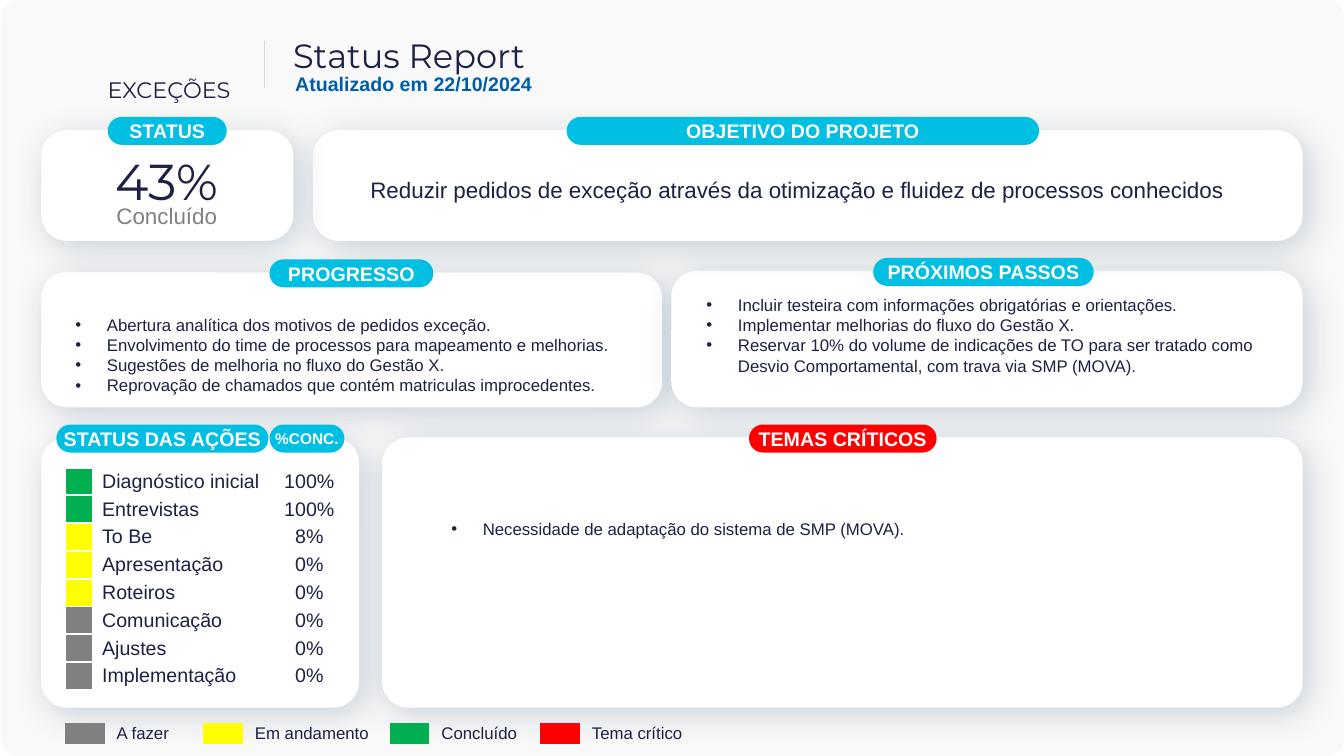
from lxml.etree import SubElement
from pptx import Presentation
from pptx.dml.color import RGBColor
from pptx.enum.shapes import MSO_CONNECTOR, MSO_SHAPE
from pptx.enum.text import MSO_ANCHOR as ANCHOR, PP_ALIGN as ALIGN
from pptx.oxml.ns import qn
from pptx.util import Pt

COLORS = {
    "page": "F9F9F9", "white": "FFFFFF", "navy": "1C2145", "blue": "005DAA",
    "cyan": "00BFE3", "red": "FF0000", "green": "00B050", "yellow": "FFFF00",
    "gray": "808080", "rule": "D9D9D9", "shadow": "002E55",
}
NO_TABLE_STYLE = "{2D5ABB26-0587-4C30-8999-92F81FD0307C}"
ZERO_MARGINS = dict.fromkeys(("margin_left", "margin_top", "margin_right", "margin_bottom"), 0)
CARD_RADIUS = 18.5


def write(frame, lines, color="navy", align=ALIGN.LEFT, bullet=False, **font_format):
    for index, line in enumerate(lines):
        paragraph = frame.add_paragraph() if index else frame.paragraphs[0]
        paragraph.alignment = align
        if bullet:
            properties = paragraph._p.get_or_add_pPr()
            properties.set("marL", str(Pt(22.5)))
            properties.set("indent", str(-Pt(22.5)))
            SubElement(properties, qn("a:buFont"), typeface="Arial")
            SubElement(properties, qn("a:buChar"), char="•")
        run = paragraph.add_run()
        run.text = line
        run.font.color.rgb = RGBColor.from_string(COLORS[color])
        for name, value in ({"name": "Arial"} | font_format).items():
            setattr(run.font, name, value)


def add_grid(left, top, widths, row_height, rows, size, indent, border=None):
    frame = slide.shapes.add_table(len(rows), len(widths), Pt(left), Pt(top),
                                   Pt(sum(widths)), Pt(row_height * len(rows)))
    table = frame.table
    table.first_row = table.horz_banding = False
    table._tbl.tblPr[0].text = NO_TABLE_STYLE
    for column, width in zip(table.columns, widths):
        column.width = Pt(width)
    for row, values in zip(table.rows, rows):
        row.height = Pt(row_height)
        for cell, (kind, value) in zip(row.cells, values):
            for name, margin in (ZERO_MARGINS | {"vertical_anchor": ANCHOR.MIDDLE}).items():
                setattr(cell, name, margin)
            if border:
                for side in ("lnL", "lnR", "lnT", "lnB"):
                    line = SubElement(cell._tc.get_or_add_tcPr(), qn(f"a:{side}"), w=str(Pt(1.5)))
                    SubElement(SubElement(line, qn("a:solidFill")), qn("a:srgbClr"), val=COLORS[border])
            if kind == "swatch":
                cell.fill.solid()
                cell.fill.fore_color.rgb = RGBColor.from_string(COLORS[value])
            else:
                cell.fill.background()
            if kind in ("label", "percent"):
                cell.margin_left = Pt(indent if kind == "label" else 0)
                align = ALIGN.CENTER if kind == "percent" else ALIGN.LEFT
                write(cell.text_frame, [value], align=align, size=Pt(size))
            else:
                end = cell.text_frame.paragraphs[0]._p.get_or_add_endParaRPr()
                end.set("sz", str(size * 100))


presentation = Presentation()
presentation.slide_width, presentation.slide_height = Pt(960), Pt(540)
slide = presentation.slides.add_slide(presentation.slide_layouts[6])

panels = [
    (0.5, 0, 960, 540, "page", 13),
    (29.5, 194.5, 443.5, 96.5, "white", CARD_RADIUS),
    (479.5, 193.5, 451, 97.5, "white", CARD_RADIUS),
    (223.5, 93, 707, 79, "white", CARD_RADIUS),
    (29.5, 93, 180, 79, "white", CARD_RADIUS),
    (29.5, 312.5, 227, 193, "white", CARD_RADIUS),
    (273, 312.5, 657.5, 193, "white", CARD_RADIUS),
]
for left, top, width, height, color, radius in panels:
    panel = slide.shapes.add_shape(MSO_SHAPE.ROUNDED_RECTANGLE,
                                   Pt(left), Pt(top), Pt(width), Pt(height))
    panel.adjustments[0] = radius / height
    panel.fill.solid()
    panel.fill.fore_color.rgb = RGBColor.from_string(COLORS[color])
    panel.line.fill.background()
    panel.shadow.inherit = False
    if color == "white":
        effects = panel._element.spPr.find(qn("a:effectLst"))
        shadow = SubElement(effects, qn("a:outerShdw"), blurRad=str(Pt(25)), dist=str(Pt(6)),
                            dir=str(48 * 60000), algn="tl", rotWithShape="0")
        tint = SubElement(shadow, qn("a:srgbClr"), val=COLORS["shadow"])
        SubElement(tint, qn("a:alpha"), val="20000")

divider = slide.shapes.add_connector(MSO_CONNECTOR.STRAIGHT, Pt(189), Pt(29), Pt(189), Pt(63))
divider.line.color.rgb = RGBColor.from_string(COLORS["rule"])
divider.line.width = Pt(0.5)
SubElement(divider._element.spPr, qn("a:effectLst"))

pills = [
    ("OBJETIVO DO PROJETO", 404.75, 83.5, 337.5, "cyan", 14),
    ("STATUS", 77, 83.5, 85, "cyan", 14),
    ("PRÓXIMOS PASSOS", 623.75, 184.25, 157.5, "cyan", 14),
    ("PROGRESSO", 192.5, 185.25, 117, "cyan", 14),
    ("STATUS DAS AÇÕES", 40.25, 303.25, 151.5, "cyan", 14),
    ("%CONC.", 192.5, 303.25, 53.5, "cyan", 11),
    ("TEMAS CRÍTICOS", 535, 303.25, 134, "red", 14),
]
for title, left, top, width, color, size in pills:
    pill = slide.shapes.add_shape(MSO_SHAPE.ROUNDED_RECTANGLE, Pt(left), Pt(top), Pt(width), Pt(20))
    pill.adjustments[0] = 0.5
    pill.fill.solid()
    pill.fill.fore_color.rgb = RGBColor.from_string(COLORS[color])
    pill.line.fill.background()
    pill.shadow.inherit = False
    frame_format = ZERO_MARGINS | {"vertical_anchor": ANCHOR.MIDDLE, "word_wrap": False}
    for name, value in frame_format.items():
        setattr(pill.text_frame, name, value)
    write(pill.text_frame, [title], "white", ALIGN.CENTER, size=Pt(size), bold=True)

actions = [
    ("green", "Diagnóstico inicial", "100%"),
    ("green", "Entrevistas", "100%"),
    ("yellow", "To Be", "8%"),
    ("yellow", "Apresentação", "0%"),
    ("yellow", "Roteiros", "0%"),
    ("gray", "Comunicação", "0%"),
    ("gray", "Ajustes", "0%"),
    ("gray", "Implementação", "0%"),
]
action_rows = [[("swatch", color), ("gap", ""), ("label", action), ("percent", done)]
               for color, action, done in actions]
add_grid(46.25, 334, [20, 6, 119, 59.5], 19.85, action_rows, 14, 0.75, border="white")

legend = [("gray", "A fazer"), ("yellow", "Em andamento"),
          ("green", "Concluído"), ("red", "Tema crítico")]
legend_row = [cell for color, label in legend for cell in (("swatch", color), ("label", label))]
add_grid(46.5, 516.75, [28.25, 70.5, 28.25, 105, 28.25, 79.25, 28.25, 76.5], 14.4,
         [legend_row], 12, 8.65)

progress = [
    "Abertura analítica dos motivos de pedidos exceção.",
    "Envolvimento do time de processos para mapeamento e melhorias.",
    "Sugestões de melhoria no fluxo do Gestão X.",
    "Reprovação de chamados que contém matriculas improcedentes.",
]
next_steps = [
    "Incluir testeira com informações obrigatórias e orientações.",
    "Implementar melhorias do fluxo do Gestão X.",
    "Reservar 10% do volume de indicações de TO para ser tratado como "
    "Desvio Comportamental, com trava via SMP (MOVA).",
]
objective = "Reduzir pedidos de exceção através da otimização e fluidez de processos conhecidos"
bullets = {"size": Pt(12), "bullet": True}
heading = {"name": "Montserrat"}
texts = [
    (203.75, 52.5, 213, 19.5, ["Atualizado em 22/10/2024"],
     {"size": Pt(14), "color": "blue", "bold": True}),
    (202.25, 21.5, 250.5, 36, ["Status Report"], heading | {"size": Pt(24)}),
    (46.75, 103.75, 144.75, 51, ["43%"], heading | {"size": Pt(36), "align": ALIGN.CENTER}),
    (64.75, 140.5, 108.75, 26.5, ["Concluído"],
     {"size": Pt(16), "color": "gray", "align": ALIGN.CENTER}),
    (69.75, 50.5, 118, 26.5, ["EXCEÇÕES"], heading | {"size": Pt(16)}),
    (257.5, 122.5, 632, 26.5, [objective], {"size": Pt(16)}),
    (46.75, 221.25, 417, 80, progress, bullets),
    (497.5, 207, 417, 65.5, next_steps, bullets),
    (315.25, 366.75, 417, 21.5, ["Necessidade de adaptação do sistema de SMP (MOVA)."], bullets),
]
for left, top, width, height, lines, text_format in texts:
    box = slide.shapes.add_textbox(Pt(left), Pt(top), Pt(width), Pt(height))
    box.text_frame.word_wrap = True
    write(box.text_frame, lines, **text_format)
    if text_format.get("color") == "blue":
        box.text_frame.paragraphs[0].line_spacing = Pt(12)

presentation.save("out.pptx")
